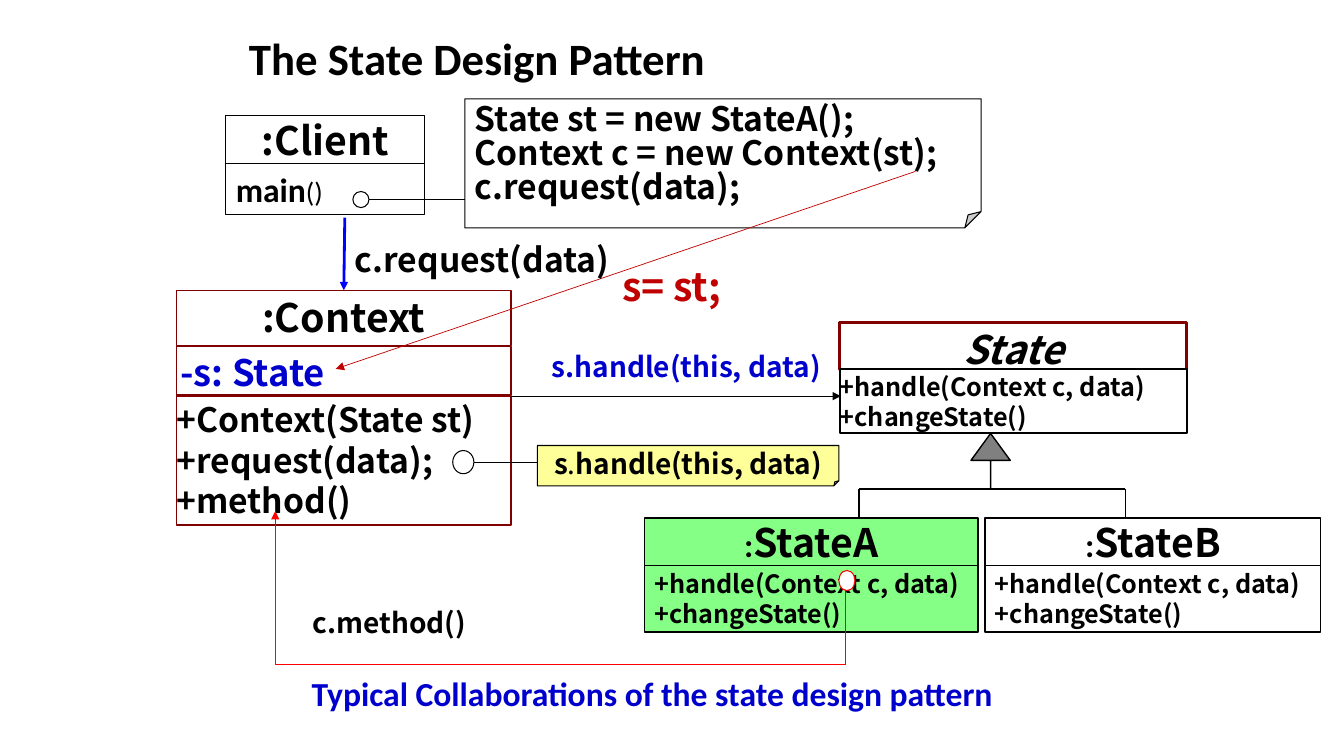
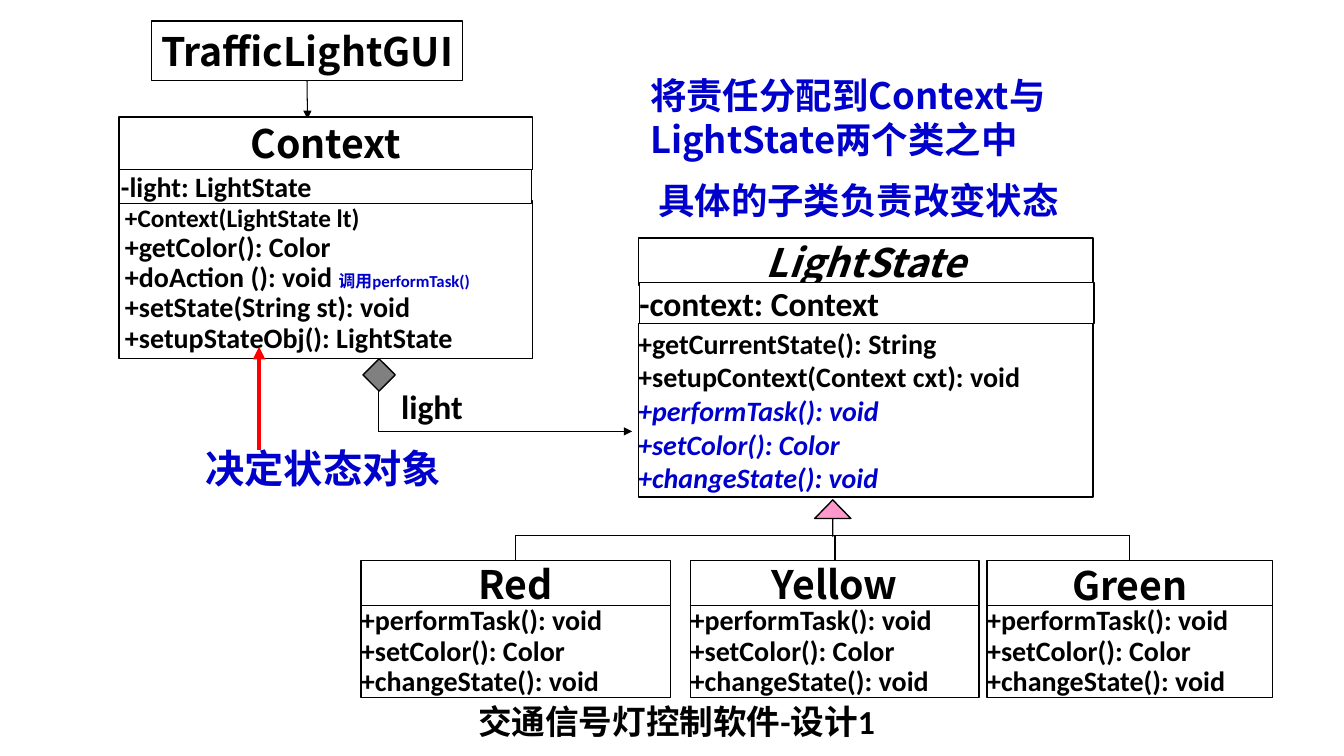
from lxml import etree
from pptx import Presentation
from pptx.dml.color import RGBColor
from pptx.enum.shapes import MSO_CONNECTOR, MSO_SHAPE
from pptx.enum.text import MSO_ANCHOR, PP_ALIGN
from pptx.oxml.ns import qn
from pptx.util import Inches, Pt

RECT, OVAL, DIAMOND = MSO_SHAPE.RECTANGLE, MSO_SHAPE.OVAL, MSO_SHAPE.DIAMOND
NOTE, UP_ARROW = MSO_SHAPE.FOLDED_CORNER, MSO_SHAPE.UP_ARROW
STRAIGHT = MSO_CONNECTOR.STRAIGHT
LEFT, CENTER = PP_ALIGN.LEFT, PP_ALIGN.CENTER
TOP, MIDDLE = MSO_ANCHOR.TOP, MSO_ANCHOR.MIDDLE

BLACK = RGBColor(0x00, 0x00, 0x00)
WHITE = RGBColor(0xFF, 0xFF, 0xFF)
NAVY = RGBColor(0x00, 0x00, 0xCC)
BLUE = RGBColor(0x00, 0x00, 0xFF)
RED = RGBColor(0xFF, 0x00, 0x00)
CRIMSON = RGBColor(0xC0, 0x00, 0x00)
MAROON = RGBColor(0x80, 0x00, 0x00)
GREEN = RGBColor(0x00, 0xFF, 0x00)
YELLOW = RGBColor(0xFF, 0xFF, 0x99)
PINK = RGBColor(0xFF, 0x99, 0xCC)
GRAY = RGBColor(0x80, 0x80, 0x80)

SANS = "Noto Sans CJK SC"
CALIBRI = "Calibri"
LINE_HEIGHT = 1.2
NO_INSET = (0, 0)
SLIM = (0.06, 0.03)


def block(slide, kind, box, lines=(), size=28, font=SANS, color=BLACK,
          fill=WHITE, border=BLACK, weight=1, align=LEFT, anchor=MIDDLE,
          inset=(0.1, 0.05), spacing=1, italic=False):
    area = [Inches(v) for v in box]
    if kind is None:
        shape = slide.shapes.add_textbox(*area)
    else:
        shape = slide.shapes.add_shape(kind, *area)
        shape.shadow.inherit = False
        shape.fill.solid()
        shape.fill.fore_color.rgb = fill
        if border is None:
            shape.line.fill.background()
        else:
            shape.line.color.rgb = border
            shape.line.width = Pt(weight)
    frame = shape.text_frame
    frame.word_wrap = True
    frame.vertical_anchor = anchor
    frame.margin_left = frame.margin_right = Inches(inset[0])
    frame.margin_top = frame.margin_bottom = Inches(inset[1])
    base = dict(size=size, font=font, color=color, italic=italic, bold=True)
    for i, line in enumerate(lines):
        paragraph = frame.add_paragraph() if i else frame.paragraphs[0]
        paragraph.alignment = align
        parts = [(line, {})] if isinstance(line, str) else line
        styles = [base | changes for _, changes in parts]
        tallest = max(style["size"] for style in styles)
        paragraph.line_spacing = Pt(round(tallest * LINE_HEIGHT * spacing, 1))
        for (text, _), style in zip(parts, styles):
            run = paragraph.add_run()
            run.text = text
            run.font.size = Pt(style["size"])
            run.font.bold = style["bold"]
            run.font.italic = style["italic"]
            run.font.color.rgb = style["color"]
            run.font.name = style["font"]
            east_asian = etree.SubElement(run.font._element, qn("a:ea"))
            east_asian.set("typeface", SANS)
    return shape


def link(slide, start, end, color=BLACK, weight=0.75, arrow=False):
    line = slide.shapes.add_connector(
        STRAIGHT, *[Inches(v) for v in (*start, *end)])
    line.line.color.rgb = color
    line.line.width = Pt(weight)
    properties = line.element.spPr
    if arrow:
        outline = properties.find(qn("a:ln"))
        etree.SubElement(outline, qn("a:tailEnd")).set("type", "triangle")
    etree.SubElement(properties, qn("a:effectLst"))
    return line


deck = Presentation()
deck.slide_width = Inches(13.33)
deck.slide_height = Inches(7.5)
blank = deck.slide_layouts[6]

pattern = deck.slides.add_slide(blank)
block(pattern, None, (2.37, 0.21, 9, 0.77), ["The State Design Pattern"],
      32, CALIBRI, spacing=0.9)
block(pattern, None, (2.1, 6.71, 8.74, 0.51),
      ["Typical Collaborations of the state design pattern"],
      24, CALIBRI, NAVY, align=CENTER, anchor=TOP, spacing=0.8)

context = block(pattern, RECT, (1.75, 2.88, 3.32, 0.55), [":Context"],
                border=MAROON, align=CENTER, anchor=TOP, inset=SLIM)
block(pattern, RECT, (1.75, 3.93, 3.32, 1.28),
      ["+Context(State st)", "+request(data);", "+method()"],
      24, border=MAROON, anchor=TOP, inset=(0, 0.03))
block(pattern, RECT, (1.75, 3.44, 3.32, 0.48), ["-s: State"], 26,
      color=NAVY, border=MAROON, anchor=TOP, inset=(0.04, 0.03))

handlers = ["+handle(Context c, data)", "+changeState()"]
block(pattern, RECT, (8.33, 3.2, 3.44, 0.47), ["State"], border=MAROON,
      weight=2, align=CENTER, anchor=TOP, inset=(0, 0.03), italic=True)
block(pattern, RECT, (8.33, 3.66, 3.44, 0.64), handlers, 18,
      weight=1.5, inset=NO_INSET)

block(pattern, RECT, (2.24, 1.62, 1.97, 0.51),
      [[("main", {}), ("()", {"size": 20, "bold": False})]],
      24, CALIBRI, weight=0.75)
block(pattern, RECT, (2.24, 1.15, 1.97, 0.47), [":Client"],
      weight=0.75, align=CENTER)
request_call = link(pattern, (3.42, 2.16), (3.42, 2.88), BLUE, 2, True)
request_call.end_connect(context, 0)

client_code = block(
    pattern, NOTE, (4.61, 0.98, 5.12, 1.28),
    ["State st = new StateA();", "Context c = new Context(st);",
     "c.request(data);"], 24, weight=0.75, spacing=0.85)
request_code = block(
    pattern, NOTE, (5.33, 4.42, 2.99, 0.4),
    [[("s", {}), (".", {"bold": False}), ("handle(this, data)", {})]],
    20, fill=YELLOW, weight=0.75, align=CENTER, inset=NO_INSET)
for code in (client_code, request_code):
    geometry = code.element.spPr.find(qn("a:prstGeom"))
    fold = etree.SubElement(geometry.find(qn("a:avLst")), qn("a:gd"))
    fold.set("name", "adj")
    fold.set("fmla", "val 12500")
block(pattern, OVAL, (3.5, 1.9, 0.16, 0.16), weight=0.75)
link(pattern, (3.66, 1.98), (4.61, 1.98))
block(pattern, OVAL, (4.49, 4.47, 0.21, 0.23), weight=0.75)
link(pattern, (4.7, 4.59), (5.33, 4.59))
link(pattern, (5.07, 3.93), (8.34, 3.93), arrow=True)

inherit = block(pattern, UP_ARROW, (9.63, 4.3, 0.39, 0.55), fill=GRAY)
inherit.adjustments[0], inherit.adjustments[1] = 0, 0.687
link(pattern, (8.52, 4.85), (11.16, 4.85), weight=1)
for name, left, width, branch, fill in (
        ("StateA", 6.39, 3.31, 8.52, GREEN),
        ("StateB", 9.77, 3.33, 11.16, WHITE)):
    link(pattern, (branch, 4.85), (branch, 5.14), weight=1)
    header = block(pattern, RECT, (left, 5.14, width, 0.47),
                   [[(":", {"size": 24, "font": CALIBRI}), (name, {})]],
                   fill=fill, align=CENTER)
    body = block(pattern, RECT, (left, 5.61, width, 0.66), handlers, 18,
                 fill=fill)
    if fill == GREEN:
        for part in (header, body):
            tint = part.element.spPr.find(qn("a:solidFill"))[0]
            etree.SubElement(tint, qn("a:alpha")).set("val", "48000")

callback = [(8.39, 5.83), (8.39, 6.59), (2.73, 6.59), (2.73, 5.07)]
for start, end in zip(callback, callback[1:]):
    link(pattern, start, end, RED, arrow=end == callback[-1])
block(pattern, OVAL, (8.32, 5.66, 0.16, 0.2), border=RED, weight=0.75)
link(pattern, (9.08, 1.7), (3.33, 3.66), CRIMSON, 0.5, True)

for text, box, size, color, inset in (
        ("c.request(data)", (3.5, 2.37, 2.88, 0.4), 24, BLACK, (0.02, 0)),
        ("s.handle(this, data)", (5.47, 3.47, 2.75, 0.34), 20, NAVY, NO_INSET),
        ("c.method()", (3, 5.96, 1.8, 0.43), 20, BLACK, (0.1, 0.05)),
        ("s= st;", (6.15, 2.6, 1.24, 0.47), 28, CRIMSON, (0.02, 0))):
    block(pattern, None, box, [text], size, color=color, anchor=TOP,
          inset=inset)

traffic = deck.slides.add_slide(blank)
gui = block(traffic, RECT, (1.5, 0.21, 3.09, 0.59), ["TrafficLightGUI"],
            align=CENTER, inset=SLIM)
link(traffic, (3.05, 0.8), (3.05, 1.18), arrow=True).begin_connect(gui, 2)

block(traffic, RECT, (1.18, 1.16, 4.1, 0.52), ["Context"],
      align=CENTER, inset=SLIM)
block(traffic, RECT, (1.18, 1.99, 4.1, 1.57),
      [[("+Context(LightState lt)", {"size": 18})],
       "+getColor(): Color",
       [("+doAction (): void ", {}),
        ("调用performTask()", {"size": 12, "color": NAVY})],
       "+setState(String st): void",
       "+setupStateObj(): LightState"],
      20, CALIBRI, inset=SLIM, spacing=0.9)
block(traffic, RECT, (1.18, 1.68, 4.09, 0.34), ["-light: LightState"],
      20, CALIBRI, inset=(0.02, 0))

block(traffic, RECT, (6.33, 2.36, 4.51, 0.47), ["LightState"],
      align=CENTER, inset=NO_INSET, italic=True)
abstract = {"color": NAVY, "italic": True}
block(traffic, RECT, (6.33, 3.21, 4.51, 1.72),
      ["+getCurrentState(): String", "+setupContext(Context cxt): void",
       [("+performTask(): void", abstract)],
       [("+setColor(): Color", abstract)],
       [("+changeState(): void", abstract)]],
      20, CALIBRI, inset=NO_INSET)
block(traffic, RECT, (6.34, 2.8, 4.51, 0.41), ["-context: Context"],
      24, CALIBRI, inset=NO_INSET)

block(traffic, RECT, (3.83, 3.83, 0.91, 0.4), ["light"], 24, CALIBRI,
      border=None, align=CENTER, anchor=TOP, inset=NO_INSET)
block(traffic, DIAMOND, (3.6, 3.56, 0.32, 0.32), fill=GRAY)
link(traffic, (3.75, 3.87), (3.75, 4.28))
link(traffic, (3.75, 4.28), (6.27, 4.28), arrow=True)

generalize = block(traffic, UP_ARROW, (8.08, 4.96, 0.36, 0.36), fill=PINK)
generalize.adjustments[0], generalize.adjustments[1] = 0, 0.514
link(traffic, (5.11, 5.31), (11.21, 5.31), weight=1)
for name, left, width, height in (("Red", 3.58, 3.07, 0.47),
                                  ("Yellow", 6.85, 2.86, 0.47),
                                  ("Green", 9.79, 2.83, 0.49)):
    header = block(traffic, RECT, (left, 5.56, width, height), [name],
                   align=CENTER, inset=NO_INSET)
    block(traffic, RECT, (left, 6.01, width, 0.91),
          ["+performTask(): void", "+setColor(): Color",
           "+changeState(): void"],
          20, CALIBRI, inset=NO_INSET, spacing=0.9)
    middle = left + width / 2
    branch = link(traffic, (middle, 5.31), (middle, 5.56), weight=1)
    branch.end_connect(header, 0)

for text, box, size in (
        ("将责任分配到Context与LightState两个类之中", (6.35, 0.68, 4.57, 0.97), 26),
        ("具体的子类负责改变状态", (6.43, 1.72, 4.57, 0.54), 26),
        ("决定状态对象", (1.94, 4.36, 2.68, 0.57), 28)):
    block(traffic, None, box, [text], size, color=NAVY, anchor=TOP)
link(traffic, (2.57, 4.46), (2.57, 3.44), RED, 3, True)
block(traffic, None, (2.18, 6.9, 9.06, 0.5), ["交通信号灯控制软件-设计1"],
      24, CALIBRI, align=CENTER, anchor=TOP)

deck.save("out.pptx")
